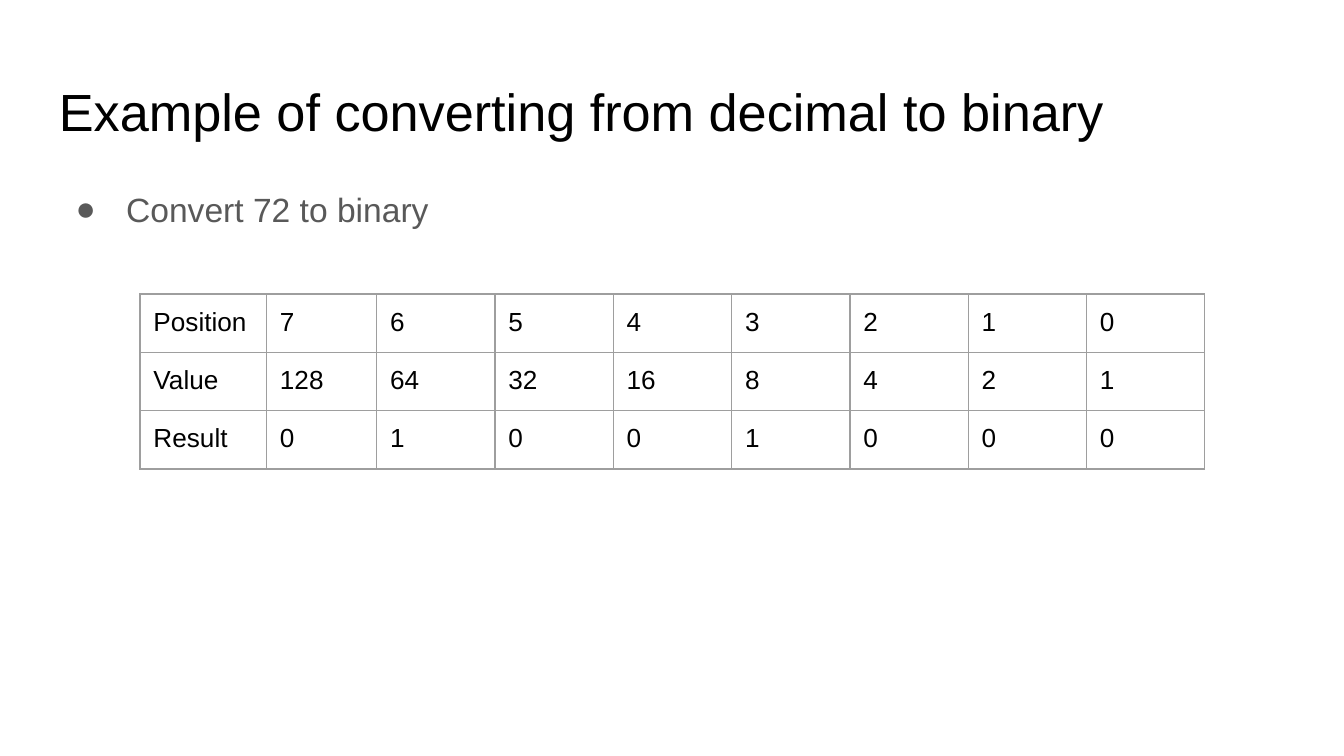
from lxml import etree
from pptx import Presentation
from pptx.dml.color import RGBColor
from pptx.enum import text as t
from pptx.oxml import ns
from pptx.util import Pt

COLORS = {"ink": "000000", "body": "595959", "rule": "9E9E9E", "page": "FFFFFF"}
FONT = "Arial"
INSET = 7.2
NUMBER = 72
BITS = range(7, -1, -1)


def rgb(name):
    return RGBColor.from_string(COLORS[name])


def add_run(para, words, size, color):
    run = para.add_run()
    run.text = words
    run.font.name = FONT
    run.font.size = Pt(size)
    run.font.color.rgb = rgb(color)


def add_box(slide, box, anchor):
    frame = slide.shapes.add_textbox(*map(Pt, box)).text_frame
    frame.word_wrap = True
    frame.vertical_anchor = anchor
    for side in ("left", "right", "top", "bottom"):
        setattr(frame, f"margin_{side}", Pt(INSET))
    return frame.paragraphs[0]


def add_title(slide, box):
    para = add_box(slide, box, t.MSO_ANCHOR.TOP)
    add_run(para, "Example of converting from decimal to binary", 28, "ink")


def add_body(slide, box):
    para = add_box(slide, box, t.MSO_ANCHOR.TOP)
    para.line_spacing = 1.15
    add_run(para, f"Convert {NUMBER} to binary", 18, "body")
    # Hanging bullet
    props = para._p.get_or_add_pPr()
    props.set("marL", str(Pt(36)))
    props.set("indent", str(Pt(-27)))
    tint = etree.SubElement(props, ns.qn("a:buClr"))
    etree.SubElement(tint, ns.qn("a:srgbClr"), val=COLORS["body"])
    etree.SubElement(props, ns.qn("a:buSzPts"), val="1800")
    etree.SubElement(props, ns.qn("a:buFont"), typeface=FONT)
    etree.SubElement(props, ns.qn("a:buChar"), char="●")


def add_borders(cell):
    props = cell._tc.get_or_add_tcPr()
    for spot, side in enumerate(("lnL", "lnR", "lnT", "lnB")):
        line = etree.Element(ns.qn(f"a:{side}"), w=str(Pt(0.75)))
        fill = etree.SubElement(line, ns.qn("a:solidFill"))
        etree.SubElement(fill, ns.qn("a:srgbClr"), val=COLORS["rule"])
        props.insert(spot, line)


def add_grid(slide, left, top):
    rows = [
        ["Position", *BITS],
        ["Value", *(2 ** bit for bit in BITS)],
        ["Result", *(NUMBER >> bit & 1 for bit in BITS)],
    ]
    widths = [67.8, 59] + [63.4] * 7
    high = 30.1
    box = (left, top, sum(widths), high * len(rows))
    table = slide.shapes.add_table(len(rows), len(widths), *map(Pt, box)).table
    table.first_row = table.horz_banding = False
    for col, width in zip(table.columns, widths):
        col.width = Pt(width)
    for row, values in zip(table.rows, rows):
        row.height = Pt(high)
        for cell, value in zip(row.cells, values):
            cell.margin_left = cell.margin_right = Pt(INSET)
            cell.margin_top = cell.margin_bottom = Pt(INSET)
            cell.fill.background()
            add_borders(cell)
            add_run(cell.text_frame.paragraphs[0], str(value), 14, "ink")


def main():
    deck = Presentation()
    deck.slide_width, deck.slide_height = Pt(720), Pt(405)
    slide = deck.slides.add_slide(deck.slide_layouts[6])
    slide.background.fill.solid()
    slide.background.fill.fore_color.rgb = rgb("page")
    add_title(slide, (24.5, 35, 671, 45))
    add_body(slide, (24.5, 90.75, 671, 269))
    add_grid(slide, 75, 157.5)
    deck.save("out.pptx")


if __name__ == "__main__":
    main()
